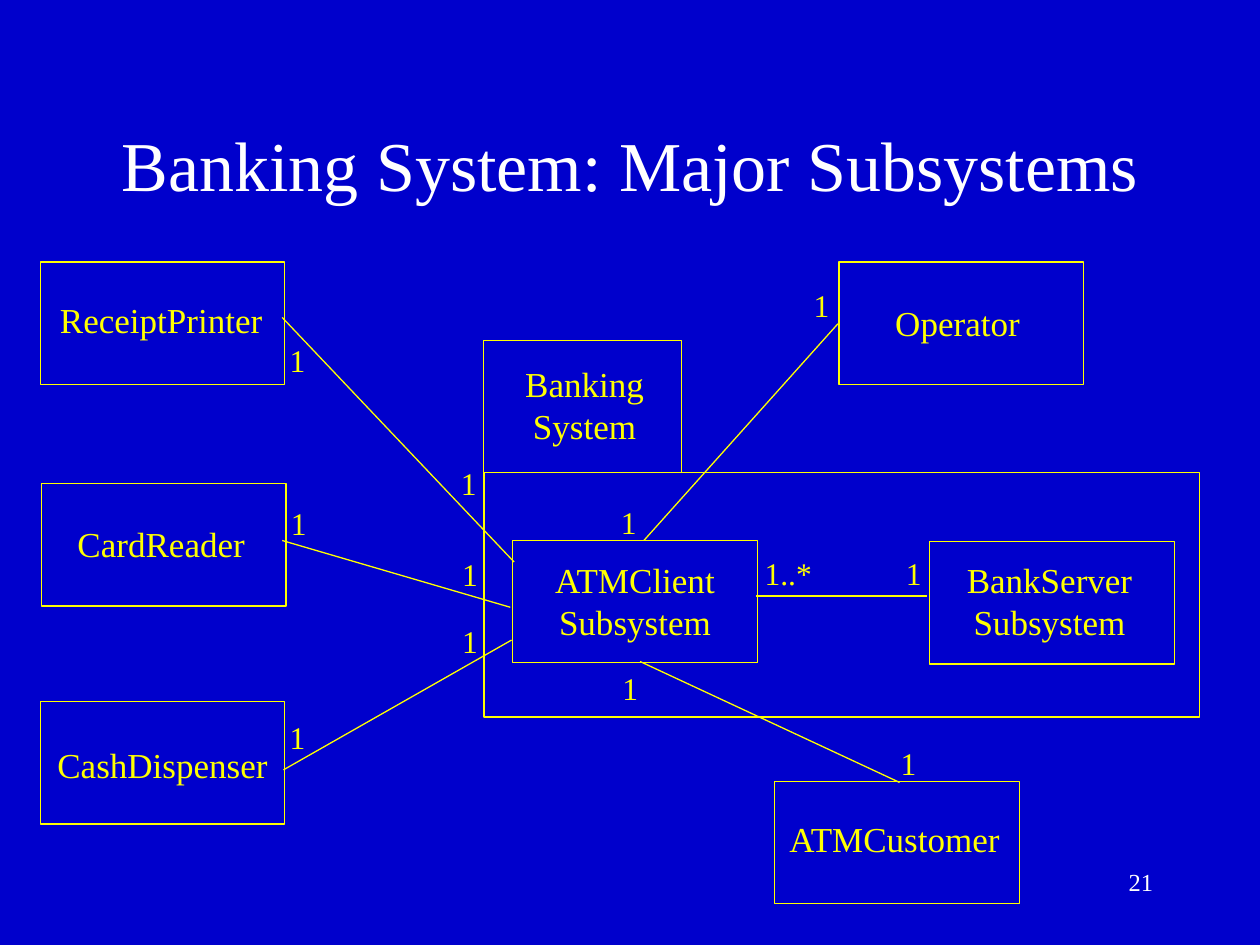
from pptx import Presentation
from pptx.dml.color import RGBColor
from pptx.enum.shapes import MSO_CONNECTOR, MSO_SHAPE
from pptx.enum.text import MSO_ANCHOR, PP_ALIGN
from pptx.oxml.ns import qn
from pptx.util import Inches, Pt
from lxml.etree import SubElement

BLUE, YELLOW, WHITE = "0000CC", "FFFF00", "FFFFFF"
FONT = "Times New Roman"
BOX_W, BOX_H = 1.94, 0.97
LABEL_W, LINE_H = 1.87, 0.33

# Subsystems and actors: name, box left and top, label centre and top
CLASSES = [
    ("ReceiptPrinter", (0.32, 2.08), (1.28, 2.32)),
    ("CardReader", (0.33, 3.84), (1.28, 4.1)),
    ("CashDispenser", (0.32, 5.57), (1.29, 5.85)),
    ("ATMCustomer", (6.15, 6.2), (7.1, 6.44)),
    ("Operator", (6.66, 2.08), (7.6, 2.34)),
    ("ATMClient\nSubsystem", (4.07, 4.29), (5.04, 4.38)),
    ("BankServer\nSubsystem", (7.38, 4.3), (8.33, 4.38)),
]

# Banking system package: body, tab and tab label
PACKAGE_BODY = (3.84, 3.75, 5.68, 1.94)
PACKAGE_TAB = (3.84, 2.7, 1.57, 1.05)
PACKAGE_LABEL = ("Banking\nSystem", (4.64, 2.83))

# Associations: line start and end, then the multiplicity at each end
ASSOCIATIONS = [
    ((2.24, 2.52), (4.08, 4.46), ("1", 2.2, 2.66), ("1", 3.56, 3.63)),
    ((2.24, 4.29), (4.05, 4.82), ("1", 2.21, 3.95), ("1", 3.57, 4.36)),
    ((2.25, 6.11), (4.06, 5.08), ("1", 2.2, 5.65), ("1", 3.57, 4.89)),
    ((6.65, 2.57), (5.11, 4.29), ("1", 6.36, 2.22), ("1", 4.83, 3.94)),
    ((6, 4.73), (7.36, 4.73), ("1..*", 5.97, 4.35), ("1", 7.09, 4.35)),
    ((5.08, 5.25), (7.14, 6.21), ("1", 4.84, 5.26), ("1", 7.05, 5.86)),
]


def rgb(color):
    return RGBColor.from_string(color)


def add_text(s, text, x, y, w, h, size=20, color=YELLOW, align=PP_ALIGN.CENTER,
             anchor=MSO_ANCHOR.TOP):
    tf = s.shapes.add_textbox(*map(Inches, (x, y, w, h))).text_frame
    tf.word_wrap = True
    tf.vertical_anchor = anchor
    for i, line in enumerate(text.split("\n")):
        p = tf.add_paragraph() if i else tf.paragraphs[0]
        p.alignment = align
        r = p.add_run()
        r.text = line
        r.font.name, r.font.size = FONT, Pt(size)
        r.font.color.rgb = rgb(color)


def add_box(s, x, y, w=BOX_W, h=BOX_H):
    box = s.shapes.add_shape(MSO_SHAPE.RECTANGLE, *map(Inches, (x, y, w, h)))
    box.shadow.inherit = False
    box.fill.background()
    box.line.color.rgb, box.line.width = rgb(YELLOW), Pt(0.75)


def add_line(s, start, end):
    line = s.shapes.add_connector(MSO_CONNECTOR.STRAIGHT, *map(Inches, start + end))
    line.line.color.rgb, line.line.width = rgb(YELLOW), Pt(0.75)
    SubElement(line._element.spPr, qn("a:effectLst"))


def main():
    prs = Presentation()
    prs.slide_width, prs.slide_height = Inches(10), Inches(7.5)
    s = prs.slides.add_slide(prs.slide_layouts[6])
    s.background.fill.solid()
    s.background.fill.fore_color.rgb = rgb(BLUE)

    # Title
    add_text(s, "Banking System: Major Subsystems", 0.75, 0.67, 8.5, 1.25,
             size=40, color=WHITE, anchor=MSO_ANCHOR.MIDDLE)

    # Boxes, then their labels
    add_box(s, *PACKAGE_BODY)
    add_box(s, *PACKAGE_TAB)
    for _, corner, _ in CLASSES:
        add_box(s, *corner)
    labels = [(name, place) for name, _, place in CLASSES]
    for name, (center, top) in labels + [PACKAGE_LABEL]:
        height = 0.44 + LINE_H * name.count("\n")
        add_text(s, name, center - LABEL_W / 2, top, LABEL_W, height)

    # Associations with multiplicities
    for start, end, *marks in ASSOCIATIONS:
        add_line(s, start, end)
        for text, x, y in marks:
            width = 0.32 if len(text) == 1 else 0.75
            add_text(s, text, x, y, width, 0.4, size=18, align=PP_ALIGN.LEFT)

    # Slide number
    add_text(s, "21", 7.17, 6.83, 2.08, 0.5, size=14, color=WHITE,
             align=PP_ALIGN.RIGHT)

    prs.save("out.pptx")


if __name__ == "__main__":
    main()
